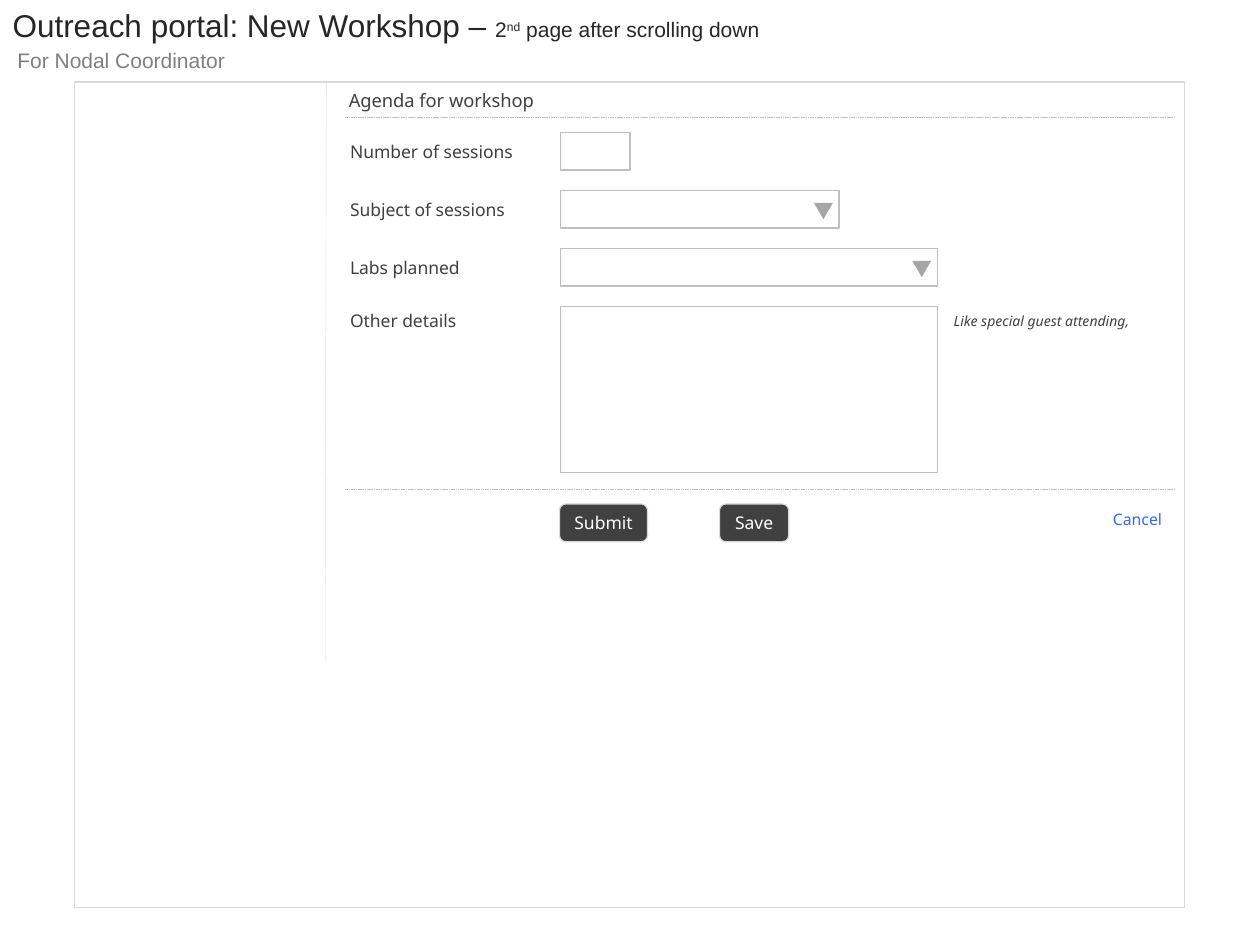
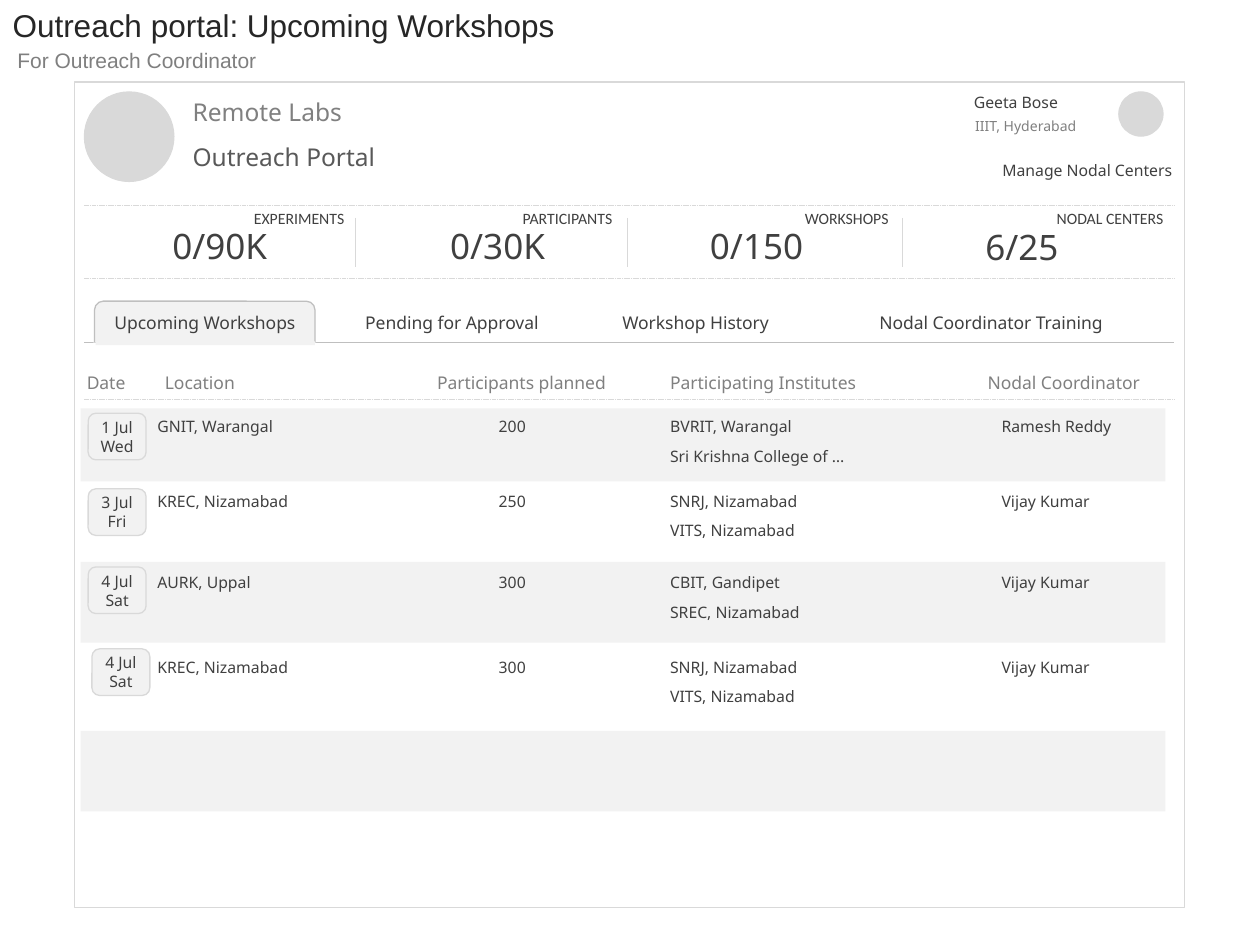
from dataclasses import dataclass

from lxml import etree
from pptx import Presentation
from pptx.dml.color import RGBColor
from pptx.enum import dml, shapes, text
from pptx.oxml import ns
from pptx.shapes.autoshape import Shape
from pptx.slide import Slide
from pptx.util import Inches, Pt

INK = RGBColor(0x26, 0x26, 0x26)
DARK = RGBColor(0x40, 0x40, 0x40)
SLATE = RGBColor(0x59, 0x59, 0x59)
GREY = RGBColor(0x80, 0x80, 0x80)
SUBTITLE_GREY = RGBColor(0x7F, 0x7F, 0x7F)
ARROW_GREY = RGBColor(0xA6, 0xA6, 0xA6)
FIELD_GREY = RGBColor(0xBF, 0xBF, 0xBF)
RULE_GREY = RGBColor(0xD9, 0xD9, 0xD9)
BAND_GREY = RGBColor(0xF2, 0xF2, 0xF2)
WHITE = RGBColor(0xFF, 0xFF, 0xFF)
LINK_BLUE = RGBColor(0x33, 0x66, 0xFF)

HEADING_FONT = "Arial"
BODY_FONT = "Noto Sans"
CAPTION_FONT = "Calibri"
TITLE_ONLY_LAYOUT = 5

Kind = shapes.MSO_SHAPE
LEFT, CENTER, RIGHT = text.PP_ALIGN.LEFT, text.PP_ALIGN.CENTER, text.PP_ALIGN.RIGHT


@dataclass(frozen=True)
class Box:
    """Position and size in inches."""
    left: float
    top: float
    width: float
    height: float

    def lengths(self) -> tuple:
        return tuple(Inches(v) for v in (self.left, self.top, self.width, self.height))


@dataclass(frozen=True)
class Style:
    size: float = 9
    color: RGBColor = DARK
    font: str = BODY_FONT
    align: text.PP_ALIGN = LEFT
    italic: bool = False
    space_after: float = 0


@dataclass(frozen=True)
class Field:
    label: str
    label_top: float
    box: Box
    is_dropdown: bool = False


@dataclass(frozen=True)
class Metric:
    caption: str
    caption_box: Box
    caption_align: text.PP_ALIGN
    value: str
    value_box: Box


@dataclass(frozen=True)
class Workshop:
    top: float
    badge_left: float
    badge_top: float
    date: str
    location: str
    planned: str
    institutes: str
    coordinator: str


LABEL = Style(10)
CELL = Style()
COLUMN_HEAD = Style(10, GREY)
BADGE = Style(align=CENTER)
BUTTON = Style(10, WHITE, align=CENTER)

FIELDS = [
    Field("Number of sessions", 1.07, Box(4.45, 1.05, 0.55, 0.3)),
    Field("Subject of sessions", 1.53, Box(4.45, 1.51, 2.21, 0.3), True),
    Field("Labs planned", 1.99, Box(4.45, 1.97, 2.99, 0.3), True),
    Field("Other details", 2.41, Box(4.45, 2.43, 2.99, 1.32)),
]
BUTTONS = [("Submit", 4.44, 0.7), ("Save", 5.71, 0.55)]

METRICS = [
    Metric("EXPERIMENTS", Box(1.35, 1.61, 1.48, 0.25), RIGHT, "0/90K", Box(1.18, 1.73, 1.13, 0.44)),
    Metric("PARTICIPANTS", Box(4.05, 1.61, 0.96, 0.25), LEFT, "0/30K", Box(3.15, 1.73, 1.6, 0.44)),
    Metric("WORKSHOPS", Box(5.67, 1.61, 1.48, 0.25), RIGHT, "0/150", Box(5.39, 1.73, 1.23, 0.44)),
    Metric("NODAL CENTERS", Box(7.85, 1.61, 1.48, 0.25), RIGHT, "6/25", Box(7.4, 1.74, 1.42, 0.44)),
]
METRIC_DIVIDERS = [2.82, 4.98, 7.16]
TABS = [
    ("Upcoming Workshops", 0.81, 1.74),
    ("Pending for Approval", 2.8, 1.75),
    ("Workshop History", 4.84, 1.75),
    ("Nodal Coordinator Training", 6.88, 2.05),
]
COLUMNS = [
    ("Date", 0.59, 0.59),
    ("Location", 1.21, 1.15),
    ("Participants planned", 3.37, 1.69),
    ("Participating Institutes", 5.22, 1.98),
    ("Nodal Coordinator", 7.74, 1.55),
]
ROW_BANDS = [(3.24, 0.58), (4.46, 0.64), (5.8, 0.64)]
WORKSHOPS = [
    Workshop(3.26, 0.7, 3.28, "1 Jul\nWed", "GNIT, Warangal", "200",
             "BVRIT, Warangal\nSri Krishna College of …", "Ramesh Reddy"),
    Workshop(3.85, 0.7, 3.88, "3 Jul\nFri", "KREC, Nizamabad", "250",
             "SNRJ, Nizamabad\nVITS, Nizamabad", "Vijay Kumar"),
    Workshop(4.5, 0.7, 4.5, "4 Jul\nSat", "AURK, Uppal", "300",
             "CBIT, Gandipet\nSREC, Nizamabad", "Vijay Kumar"),
    Workshop(5.17, 0.73, 5.15, "4 Jul\nSat", "KREC, Nizamabad", "300",
             "SNRJ, Nizamabad\nVITS, Nizamabad", "Vijay Kumar"),
]


def write(frame, words: str, style: Style) -> None:
    """Put words in the frame, one paragraph per line."""
    frame.text = words
    for paragraph in frame.paragraphs:
        paragraph.alignment = style.align
        paragraph.space_after = Pt(style.space_after)
        font = paragraph.font
        font.name, font.size, font.italic = style.font, Pt(style.size), style.italic
        font.color.rgb = style.color


def add_text(slide: Slide, words: str, box: Box, style: Style, wrap: bool = True) -> None:
    frame = slide.shapes.add_textbox(*box.lengths()).text_frame
    frame.word_wrap = wrap
    write(frame, words, style)


def add_shape(slide: Slide, kind: Kind, box: Box, fill: RGBColor | None = None,
              line: RGBColor | None = None) -> Shape:
    shape = slide.shapes.add_shape(kind, *box.lengths())
    shape.shadow.inherit = False
    if fill is None:
        shape.fill.background()
    else:
        shape.fill.solid()
        shape.fill.fore_color.rgb = fill
    if line is None:
        shape.line.fill.background()
    else:
        shape.line.color.rgb = line
        shape.line.width = Pt(0.75)
    return shape


def add_pill(slide: Slide, words: str, box: Box, fill: RGBColor, style: Style) -> None:
    """Draw a rounded box with centred words."""
    pill = add_shape(slide, Kind.ROUNDED_RECTANGLE, box, fill, RULE_GREY)
    frame = pill.text_frame
    frame.margin_left = frame.margin_right = frame.margin_top = frame.margin_bottom = 0
    frame.vertical_anchor = text.MSO_ANCHOR.MIDDLE
    frame.word_wrap = False
    write(frame, words, style)


def add_rule(slide: Slide, start: tuple[float, float], end: tuple[float, float],
             color: RGBColor = RULE_GREY, width: float = 0.25, dashed: bool = True) -> None:
    rule = slide.shapes.add_connector(shapes.MSO_CONNECTOR.STRAIGHT,
                                      *(Inches(v) for v in (*start, *end)))
    rule.line.color.rgb = color
    rule.line.width = Pt(width)
    if dashed:
        rule.line.dash_style = dml.MSO_LINE.SQUARE_DOT
    etree.SubElement(rule._element.spPr, ns.qn("a:effectLst"))


def add_page(prs: Presentation, title: str, audience: str) -> Slide:
    """Add a slide with its title, audience line and page frame."""
    slide = prs.slides.add_slide(prs.slide_layouts[TITLE_ONLY_LAYOUT])
    heading = slide.shapes.title
    heading.left, heading.top, heading.width, heading.height = Box(0, 0, 9.66, 0.4).lengths()
    frame = heading.text_frame
    frame.vertical_anchor = text.MSO_ANCHOR.TOP
    frame.auto_size = text.MSO_AUTO_SIZE.NONE
    write(frame, title, Style(18, INK, HEADING_FONT))
    add_text(slide, audience, Box(0.04, 0.33, 2.17, 0.3),
             Style(12, SUBTITLE_GREY, HEADING_FONT), wrap=False)
    add_shape(slide, Kind.RECTANGLE, Box(0.59, 0.65, 8.81, 6.55), line=RULE_GREY)
    return slide


def add_title_note(slide: Slide) -> None:
    paragraph = slide.shapes.title.text_frame.paragraphs[0]
    for words, baseline in [("2", 0), ("nd", 30000), (" page after scrolling down", 0)]:
        run = paragraph.add_run()
        run.text = words
        run.font.size = Pt(12)
        if baseline:
            run._r.get_or_add_rPr().set("baseline", str(baseline))


def add_field(slide: Slide, field: Field) -> None:
    box = field.box
    add_text(slide, field.label, Box(2.68, field.label_top, 1.66, 0.27), LABEL)
    add_shape(slide, Kind.RECTANGLE, box, line=FIELD_GREY)
    if field.is_dropdown:
        arrow_box = Box(box.left + box.width - 0.2, box.top + 0.1, 0.15, 0.13)
        add_shape(slide, Kind.ISOSCELES_TRIANGLE, arrow_box, ARROW_GREY).rotation = 180


def build_new_workshop(prs: Presentation) -> None:
    slide = add_page(prs, "Outreach portal: New Workshop – ", "For Nodal Coordinator")
    add_title_note(slide)
    add_rule(slide, (2.58, 5.26), (2.59, 0.66))
    add_text(slide, "Agenda for workshop", Box(2.67, 0.66, 2.46, 0.28), Style(10.5))
    for y in (0.93, 3.88):
        add_rule(slide, (2.74, y), (9.32, y), FIELD_GREY)
    for field in FIELDS:
        add_field(slide, field)
    add_text(slide, "Like special guest attending,", Box(7.47, 2.43, 1.93, 0.24),
             Style(8, italic=True))
    for words, left, width in BUTTONS:
        add_pill(slide, words, Box(left, 4, width, 0.3), DARK, BUTTON)
    add_text(slide, "Cancel", Box(7.99, 4, 1.33, 0.25), Style(9, LINK_BLUE, align=RIGHT))


def add_portal_header(slide: Slide) -> None:
    for box in (Box(0.67, 0.73, 0.71, 0.71), Box(8.88, 0.73, 0.35, 0.35)):
        add_shape(slide, Kind.OVAL, box, RULE_GREY, RULE_GREY)
    add_text(slide, "Remote Labs", Box(1.43, 0.72, 1.94, 0.34), Style(14, GREY))
    add_text(slide, "Outreach Portal", Box(1.43, 1.08, 1.94, 0.34), Style(14, SLATE))
    add_text(slide, "Geeta Bose", Box(7.63, 0.69, 1.25, 0.25), CELL)
    add_text(slide, "IIIT, Hyderabad", Box(7.64, 0.88, 1.25, 0.24), Style(8, GREY))
    add_text(slide, "Manage Nodal Centers", Box(7.23, 1.23, 2.17, 0.25), Style(align=RIGHT))


def add_metrics(slide: Slide) -> None:
    for metric in METRICS:
        add_text(slide, metric.value, metric.value_box, Style(20, align=CENTER))
        add_text(slide, metric.caption, metric.caption_box,
                 Style(font=CAPTION_FONT, align=metric.caption_align))
    for x in METRIC_DIVIDERS:
        add_rule(slide, (x, 1.73), (x, 2.12), dashed=False)


def add_tabs(slide: Slide) -> None:
    """Draw the tabs, with the first one open at its foot."""
    add_shape(slide, Kind.ROUNDED_RECTANGLE, Box(0.75, 2.39, 1.75, 0.42), BAND_GREY, FIELD_GREY)
    for words, left, width in TABS:
        add_text(slide, words, Box(left, 2.43, width, 0.27), LABEL)
    add_rule(slide, (0.67, 2.72), (9.32, 2.72), FIELD_GREY, 0.75, dashed=False)
    add_shape(slide, Kind.RECTANGLE, Box(0.74, 2.72, 1.77, 0.12), WHITE)
    add_shape(slide, Kind.RECTANGLE, Box(0.76, 2.71, 1.74, 0.03), BAND_GREY)


def add_workshop(slide: Slide, workshop: Workshop) -> None:
    top = workshop.top
    add_pill(slide, workshop.date, Box(workshop.badge_left, workshop.badge_top, 0.46, 0.37),
             BAND_GREY, BADGE)
    add_text(slide, workshop.location, Box(1.15, top, 1.65, 0.25), CELL)
    add_text(slide, workshop.planned, Box(3.86, top, 0.48, 0.25), CELL)
    add_text(slide, workshop.institutes, Box(5.22, top, 2.63, 0.49), Style(space_after=6))
    add_text(slide, workshop.coordinator, Box(7.85, top, 1.38, 0.25), CELL)


def build_upcoming_workshops(prs: Presentation) -> None:
    slide = add_page(prs, "Outreach portal: Upcoming Workshops", "For Outreach Coordinator")
    add_portal_header(slide)
    for y in (1.63, 2.21, 3.17):
        add_rule(slide, (0.67, y), (9.32, y))
    add_metrics(slide)
    add_tabs(slide)
    for words, left, width in COLUMNS:
        add_text(slide, words, Box(left, 2.9, width, 0.27), COLUMN_HEAD)
    for top, height in ROW_BANDS:
        add_shape(slide, Kind.RECTANGLE, Box(0.64, top, 8.61, height), BAND_GREY)
    for workshop in WORKSHOPS:
        add_workshop(slide, workshop)


def main() -> None:
    prs = Presentation()
    prs.slide_width, prs.slide_height = Inches(10), Inches(7.5)
    build_new_workshop(prs)
    build_upcoming_workshops(prs)
    prs.save("out.pptx")


if __name__ == "__main__":
    main()
